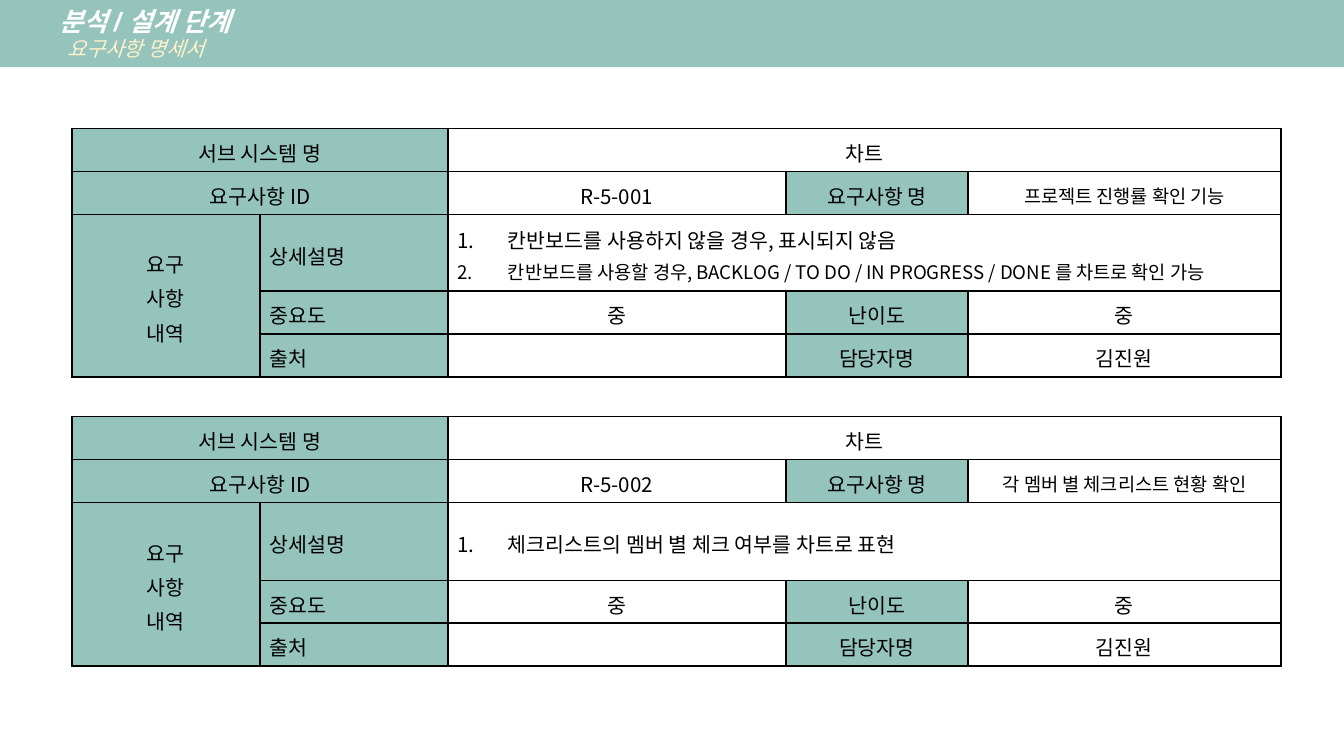
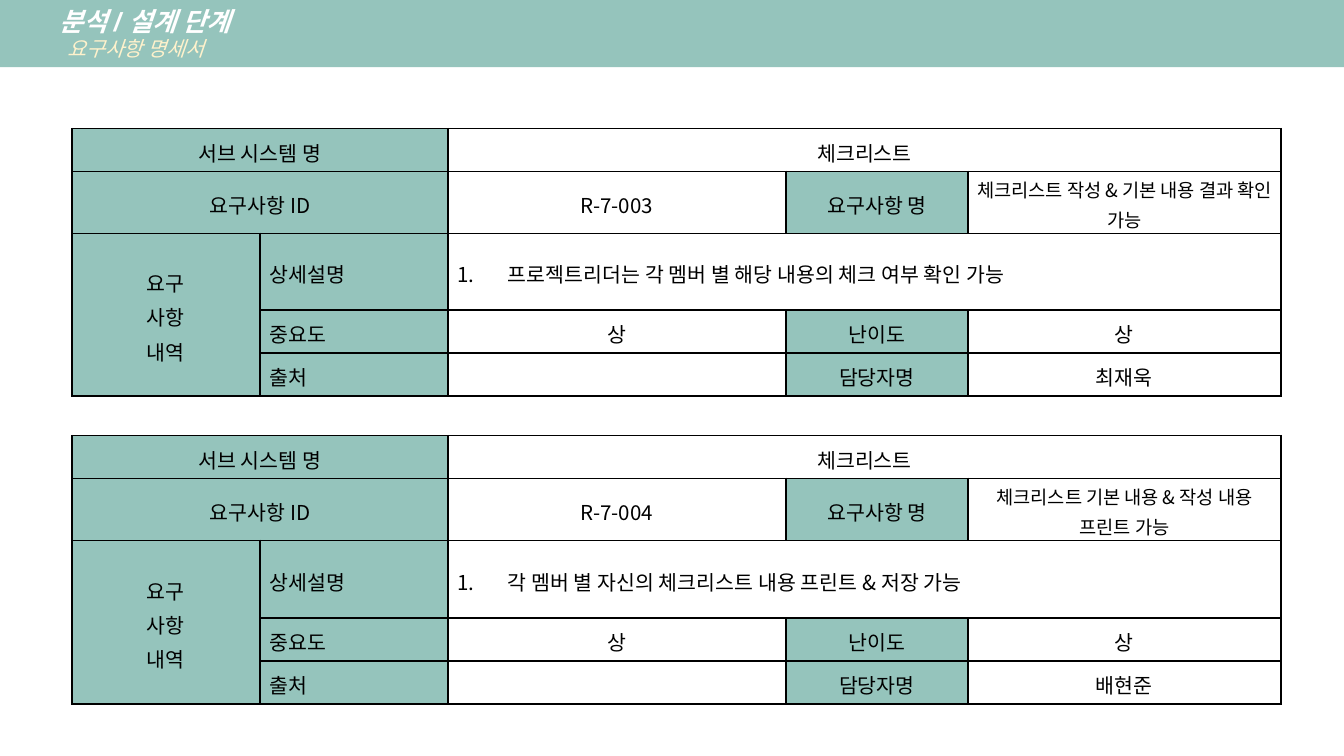
from dataclasses import dataclass

import lxml.etree
import pptx
import pptx.dml.color
import pptx.enum.text
import pptx.oxml.ns
import pptx.presentation
import pptx.slide
import pptx.table
import pptx.text.text
import pptx.util

Pt = pptx.util.Pt
qn = pptx.oxml.ns.qn
ALIGN = pptx.enum.text.PP_ALIGN
MIDDLE = pptx.enum.text.MSO_ANCHOR.MIDDLE

# Shared look
HEX = {"band": "95C4BC", "title": "FFFFFF", "sub": "FFF2CC", "ink": "000000"}
FONT = {"head": "Arial", "cell": "Noto Sans CJK KR"}
SIZE = {"head": 14, "cell": 11, "small": 10}
COLS = (100.8, 100.8, 181, 97.4, 167.8)
LEFT, TOP = 38.5, 68.9
ROW, GAP = 23, 21.4
TALL = (41, 41.7)
PAD = 5
LIST = 27
BLOCK = 5  # rows in one requirement


@dataclass
class Need:
    system: str
    code: str
    name: str
    notes: list[str]
    rank: str
    level: str
    owner: str
    sizes: tuple[int, ...] = (SIZE["cell"],)


@dataclass
class Cell:
    row: int
    col: int
    text: str
    head: bool = False
    rows: int = 1
    cols: int = 1
    left: bool = False
    size: int = SIZE["cell"]


PAGES = [
    [
        Need("차트", "R-5-001", "프로젝트 진행률 확인 기능",
             ["칸반보드를 사용하지 않을 경우, 표시되지 않음",
              "칸반보드를 사용할 경우, BACKLOG / TO DO / IN PROGRESS / DONE 를 차트로 확인 가능"],
             "중", "중", "김진원", (SIZE["cell"], SIZE["small"])),
        Need("차트", "R-5-002", "각 멤버 별 체크리스트 현황 확인",
             ["체크리스트의 멤버 별 체크 여부를 차트로 표현"], "중", "중", "김진원"),
    ],
    [
        Need("체크리스트", "R-7-003", "체크리스트 작성 & 기본 내용 결과 확인 가능",
             ["프로젝트리더는 각 멤버 별 해당 내용의 체크 여부 확인 가능"], "상", "상", "최재욱"),
        Need("체크리스트", "R-7-004", "체크리스트 기본 내용 & 작성 내용 프린트 가능",
             ["각 멤버 별 자신의 체크리스트 내용 프린트 & 저장 가능"], "상", "상", "배현준"),
    ],
]


def tint(name: str) -> pptx.dml.color.RGBColor:
    return pptx.dml.color.RGBColor.from_string(HEX[name])


def style(para: pptx.text.text._Paragraph, face: str, size: float, ink: str,
          bold: bool = False, slant: bool = False) -> None:
    for run in para.runs:
        font = run.font
        font.size, font.bold, font.italic = Pt(size), bold, slant
        font.color.rgb = tint(ink)
        font.name = FONT[face]
        if face == "cell":
            ea = lxml.etree.SubElement(run._r.get_or_add_rPr(), qn("a:ea"))
            ea.set("typeface", FONT[face])


def indent(para: pptx.text.text._Paragraph, left: float, first: float = 0) -> None:
    props = para._p.get_or_add_pPr()
    props.set("marL", str(Pt(left)))
    props.set("indent", str(Pt(first)))


# Band that carries the title
def draw_band(slide: pptx.slide.Slide) -> None:
    band = slide.shapes.title
    band.left, band.top, band.width, band.height = Pt(0), Pt(-0.7), Pt(720), Pt(36.7)
    band.fill.solid()
    band.fill.fore_color.rgb = tint("band")
    frame = band.text_frame
    frame.auto_size = pptx.enum.text.MSO_AUTO_SIZE.NONE
    frame.word_wrap = True
    frame.vertical_anchor = MIDDLE
    frame.margin_left = frame.margin_right = Pt(PAD)
    frame.margin_top = frame.margin_bottom = Pt(2.8)
    frame.text = "분석 / 설계 단계\n요구사항 명세서"
    head, sub = frame.paragraphs
    for para, left in ((head, LIST), (sub, LIST + 4)):
        para.alignment = ALIGN.LEFT
        para.line_spacing = 1.0
        indent(para, left)
    style(head, "head", SIZE["head"], "title", bold=True, slant=True)
    style(sub, "head", SIZE["cell"], "sub", slant=True)


# Table cells
def border(cell: pptx.table._Cell, sides: str, shown: bool = True) -> None:
    props = cell._tc.get_or_add_tcPr()
    for side in sides:
        line = lxml.etree.SubElement(props, qn(f"a:ln{side}"), w=str(Pt(1)))
        if shown:
            fill = lxml.etree.SubElement(line, qn("a:solidFill"))
            lxml.etree.SubElement(fill, qn("a:srgbClr"), val=HEX["ink"])
        else:
            lxml.etree.SubElement(line, qn("a:noFill"))


def prepare(cell: pptx.table._Cell, gap: bool) -> None:
    if gap:
        border(cell, "LR", shown=False)
        border(cell, "TB")
    else:
        border(cell, "LRTB")
    cell.fill.background()
    cell.vertical_anchor = MIDDLE
    cell.margin_left = cell.margin_right = Pt(PAD)
    cell.margin_top = cell.margin_bottom = Pt(0)


def shrink(cell: pptx.table._Cell) -> None:
    para = cell.text_frame.paragraphs[0]._p
    lxml.etree.SubElement(para, qn("a:endParaRPr"), sz=str(SIZE["small"] * 100))


def draw_cell(grid: pptx.table.Table, top: int, item: Cell) -> pptx.table._Cell:
    row = top + item.row
    cell = grid.cell(row, item.col)
    if item.rows * item.cols > 1:
        cell.merge(grid.cell(row + item.rows - 1, item.col + item.cols - 1))
    if item.head:
        cell.fill.solid()
        cell.fill.fore_color.rgb = tint("band")
    if not item.text:
        shrink(cell)
        return cell
    cell.text_frame.text = item.text
    for para in cell.text_frame.paragraphs:
        para.alignment = ALIGN.LEFT if item.left else ALIGN.CENTER
        para.line_spacing = 1.15
        style(para, "cell", item.size, "ink")
    return cell


def draw_notes(grid: pptx.table.Table, top: int, need: Need) -> None:
    cell = grid.cell(top + 2, 2)
    cell.merge(grid.cell(top + 2, 4))
    cell.text_frame.text = "\n".join(need.notes)
    for para, size in zip(cell.text_frame.paragraphs, need.sizes):
        indent(para, LIST, -LIST)
        lxml.etree.SubElement(para._p.pPr, qn("a:buAutoNum"), type="arabicPeriod")
        para.alignment = ALIGN.LEFT
        para.line_spacing = 1.15
        style(para, "cell", size, "ink")


# One requirement: five rows
def draw_need(grid: pptx.table.Table, top: int, need: Need) -> None:
    items = [
        Cell(0, 0, "서브 시스템 명", head=True, cols=2),
        Cell(0, 2, need.system, cols=3),
        Cell(1, 0, "요구사항 ID", head=True, cols=2),
        Cell(1, 2, need.code),
        Cell(1, 3, "요구사항 명", head=True),
        Cell(1, 4, need.name, size=SIZE["small"]),
        Cell(2, 0, "요구\v사항\v내역", head=True, rows=3),
        Cell(2, 1, "상세설명", head=True, left=True),
        Cell(3, 1, "중요도", head=True, left=True),
        Cell(3, 2, need.rank),
        Cell(3, 3, "난이도", head=True),
        Cell(3, 4, need.level),
        Cell(4, 1, "출처", head=True, left=True),
        Cell(4, 2, ""),
        Cell(4, 3, "담당자명", head=True),
        Cell(4, 4, need.owner),
    ]
    for item in items:
        draw_cell(grid, top, item)
    draw_notes(grid, top, need)


def draw_table(slide: pptx.slide.Slide, needs: list[Need]) -> None:
    first, last = ([ROW, ROW, tall, ROW, ROW] for tall in TALL)
    highs = [*first, GAP, *last]
    frame = slide.shapes.add_table(len(highs), len(COLS), Pt(LEFT), Pt(TOP),
                                   Pt(sum(COLS)), Pt(sum(highs)))
    grid = frame.table
    grid.first_row = grid.horz_banding = False
    for col, width in zip(grid.columns, COLS):
        col.width = Pt(width)
    for index, high in enumerate(highs):
        grid.rows[index].height = Pt(high)
        for cell in grid.rows[index].cells:
            prepare(cell, gap=index == BLOCK)
    for index, need in enumerate(needs):
        draw_need(grid, index * (BLOCK + 1), need)
    draw_cell(grid, BLOCK, Cell(0, 0, "", cols=len(COLS)))


def main() -> None:
    deck = pptx.Presentation()
    deck.slide_width, deck.slide_height = Pt(720), Pt(405)
    for needs in PAGES:
        slide = deck.slides.add_slide(deck.slide_layouts[5])
        draw_band(slide)
        draw_table(slide, needs)
    deck.save("out.pptx")


if __name__ == "__main__":
    main()
